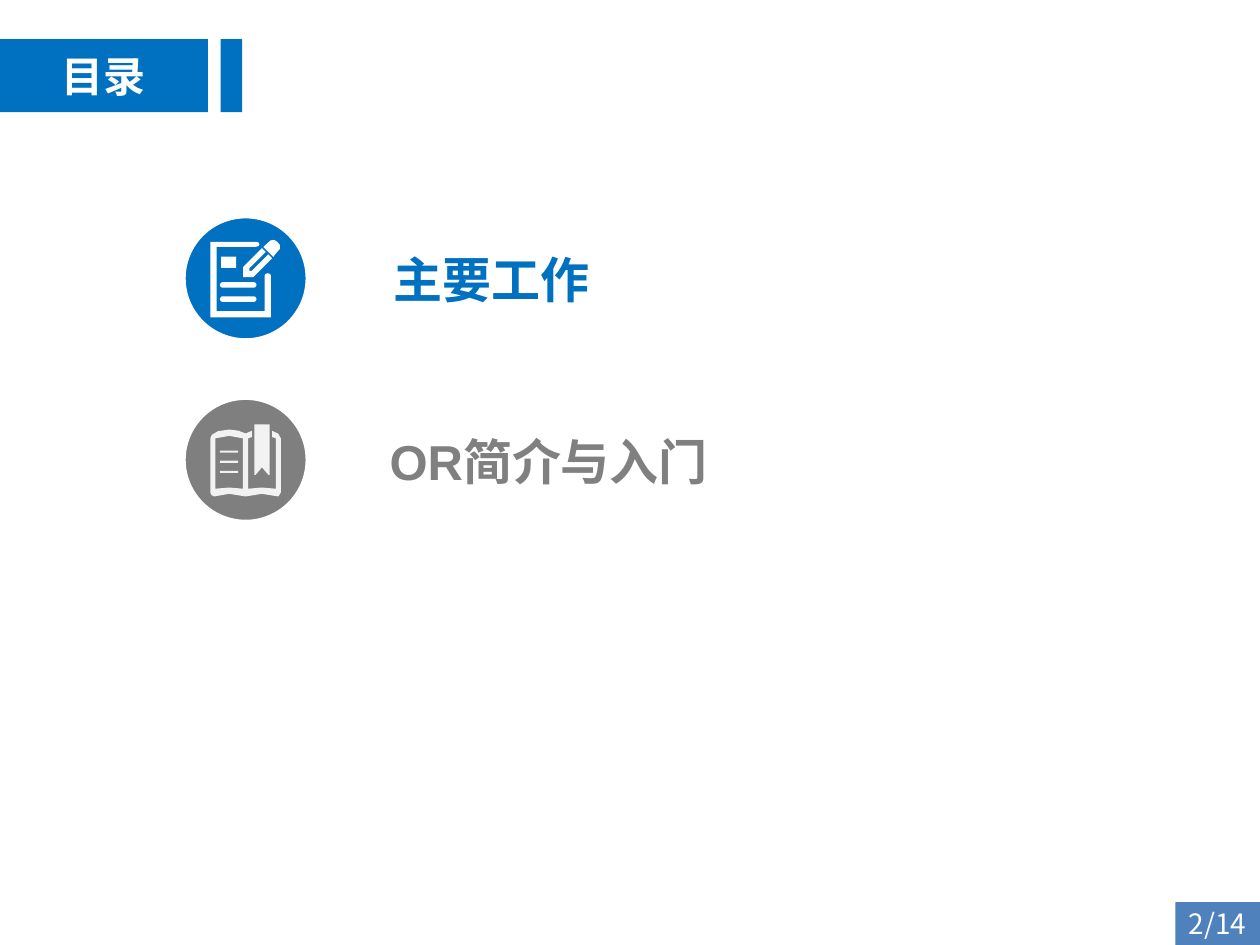
from pptx import Presentation
from pptx.dml.color import RGBColor
from pptx.enum.shapes import MSO_SHAPE
from pptx.enum.text import MSO_ANCHOR, MSO_AUTO_SIZE, PP_ALIGN
from pptx.util import Pt

COLORS = {"blue": "0070C0", "circle": "7F7F7F", "label": "808080",
          "white": "FFFFFF", "paper": "F2F2F2", "page": "4F81BD"}
CIRCLE = 70.5

# Icon outlines, in points from the top left corner of the circle
BOOKMARK = [(40.3, 15.1), (49, 15.1), (49, 43.9), (48.3, 43.9),
            (44.6, 39.6), (41, 43.9), (40.3, 43.9)]
BOOK = [(50.4, 18.7), (50.4, 22.3), (52.6, 23), (52.6, 51.8), (44.6, 51.1),
        (36.7, 51.8), (36.7, 23), (38.9, 22.3), (38.9, 18.7), (35.3, 20.2),
        (31, 18.6), (25.9, 18), (19.5, 18.9), (16, 21), (15.1, 23), (15.1, 54),
        (15.8, 55.4), (17.3, 56.2), (25.9, 54.7), (35.3, 56.2), (44.6, 54.7),
        (54, 56.2), (55.4, 54), (55.4, 23), (53.9, 20.3)]
LEFT_PAGE = [(33.8, 51.8), (25.9, 51.1), (18, 51.8), (18, 23), (25.9, 21.6), (33.8, 23)]
SHEET = [(49.7, 57.6), (15.1, 57.6), (15.1, 14.4), (41, 14.4), (42.6, 14.8),
         (43.2, 15.8), (42.6, 16.9), (41, 17.3), (18.7, 17.3), (18.7, 54),
         (46.1, 54), (46.1, 33.8), (46.6, 32.8), (47.9, 32.4), (49.2, 32.8), (49.7, 33.8)]
ERASER = [(53.3, 20.2), (54.9, 18.4), (54.9, 16.2), (53.3, 14.4), (51.5, 13.3),
          (49.5, 13.6), (45.4, 17.3), (51.1, 23)]
PENCIL = [(48.2, 21.6), (38.9, 31), (37.4, 31), (37.4, 29.5), (46.8, 20.2),
          (44.6, 18), (33.8, 28.8), (33.8, 34.6), (39.6, 34.6), (50.4, 23.8)]


def rgb(name):
    """Return the named colour."""
    return RGBColor.from_string(COLORS[name])


def paint(shape, color):
    """Give a shape a plain fill without line or shadow."""
    shape.shadow.inherit = False
    shape.fill.solid()
    shape.fill.fore_color.rgb = rgb(color)
    shape.line.fill.background()
    return shape


def add_block(shapes, kind, color, left, top, width, height):
    """Add a filled preset shape."""
    return paint(shapes.add_shape(kind, Pt(left), Pt(top), Pt(width), Pt(height)), color)


def add_outline(shapes, color, left, top, *contours):
    """Add a filled freeform; contours after the first one are holes."""
    paths = [[(Pt(left + x), Pt(top + y)) for x, y in contour] for contour in contours]
    builder = shapes.build_freeform(*paths[0][0])
    builder.add_line_segments(paths[0][1:])
    for path in paths[1:]:
        builder.move_to(*path[0])
        builder.add_line_segments(path[1:])
    return paint(builder.convert_to_shape(), color)


def write(shape, text, size, color, font="Arial", bold=True):
    """Write one centred line into a shape."""
    frame = shape.text_frame
    frame.word_wrap = True
    frame.auto_size = MSO_AUTO_SIZE.NONE
    frame.vertical_anchor = MSO_ANCHOR.MIDDLE
    paragraph = frame.paragraphs[0]
    paragraph.alignment = PP_ALIGN.CENTER
    run = paragraph.add_run()
    run.text = text
    run.font.name, run.font.size, run.font.bold = font, Pt(size), bold
    run.font.color.rgb = rgb(color)


def add_heading(slide, text, top, width, height):
    """Place the title banner at the left edge and the bar beside it."""
    title = slide.shapes.title
    title.left, title.top, title.width, title.height = Pt(0), Pt(top), Pt(width), Pt(height)
    title.fill.solid()
    title.fill.fore_color.rgb = rgb("blue")
    write(title, text, 24, "white")
    add_block(slide.shapes, MSO_SHAPE.RECTANGLE, "blue", width + 7.2, top, 12.4, height)


def draw_note(shapes, left, top):
    """Draw a written sheet with a pencil."""
    for y in (37.4, 45.5):
        bar = add_block(shapes, MSO_SHAPE.ROUNDED_RECTANGLE, "white",
                        left + 20.6, top + y, 20.9, 3.2)
        bar.adjustments[0] = 0.5
    add_outline(shapes, "white", left, top, SHEET)
    add_block(shapes, MSO_SHAPE.RECTANGLE, "white", left + 21.3, top + 22.8, 8.6, 6.5)
    for contour in (ERASER, PENCIL):
        add_outline(shapes, "white", left, top, contour)


def draw_book(shapes, left, top):
    """Draw an open book with a bookmark."""
    add_outline(shapes, "paper", left, top, BOOKMARK)
    for row in range(3):
        add_block(shapes, MSO_SHAPE.ROUNDED_RECTANGLE, "paper",
                  left + 20.6, top + 30 + 5.8 * row, 10.4, 1.2)
    add_outline(shapes, "paper", left, top, BOOK, LEFT_PAGE)


def add_entry(slide, left, top, circle_color, draw_icon, text, text_color, text_box):
    """Place a contents entry: round icon and label, text_box relative to the icon."""
    shapes = slide.shapes.add_group_shape().shapes
    circle = add_block(shapes, MSO_SHAPE.OVAL, circle_color, left, top, CIRCLE, CIRCLE)
    circle.line.color.rgb = rgb("white")
    circle.line.width = Pt(2)
    draw_icon(shapes, left, top)
    x, y, width, height = text_box
    label = slide.shapes.add_textbox(Pt(left + x), Pt(top + y), Pt(width), Pt(height))
    write(label, text, 28, text_color)


def add_page_number(slide, text, left, top, width, height):
    """Place the page number tab."""
    tab = add_block(slide.shapes, MSO_SHAPE.RECTANGLE, "page", left, top, width, height)
    tab.text_frame.margin_left = tab.text_frame.margin_right = 0
    write(tab, text, 16, "white", "Noto Sans CJK SC", False)


def main():
    """Build the contents slide."""
    deck = Presentation()
    deck.slide_width, deck.slide_height = Pt(720), Pt(540)
    slide = deck.slides.add_slide(deck.slide_layouts[5])
    add_heading(slide, "目录", 22.3, 118.8, 41.8)
    add_entry(slide, 105.1, 123.8, "blue", draw_note, "主要工作", "blue",
              (45.4, 5, 260.6, 61.2))
    add_entry(slide, 105.1, 227.5, "circle", draw_book, "OR简介与入门", "label",
              (99.4, 5, 218.2, 61.2))
    add_page_number(slide, "2/14", 671.6, 515.5, 48.4, 24.5)
    deck.save("out.pptx")


main()
